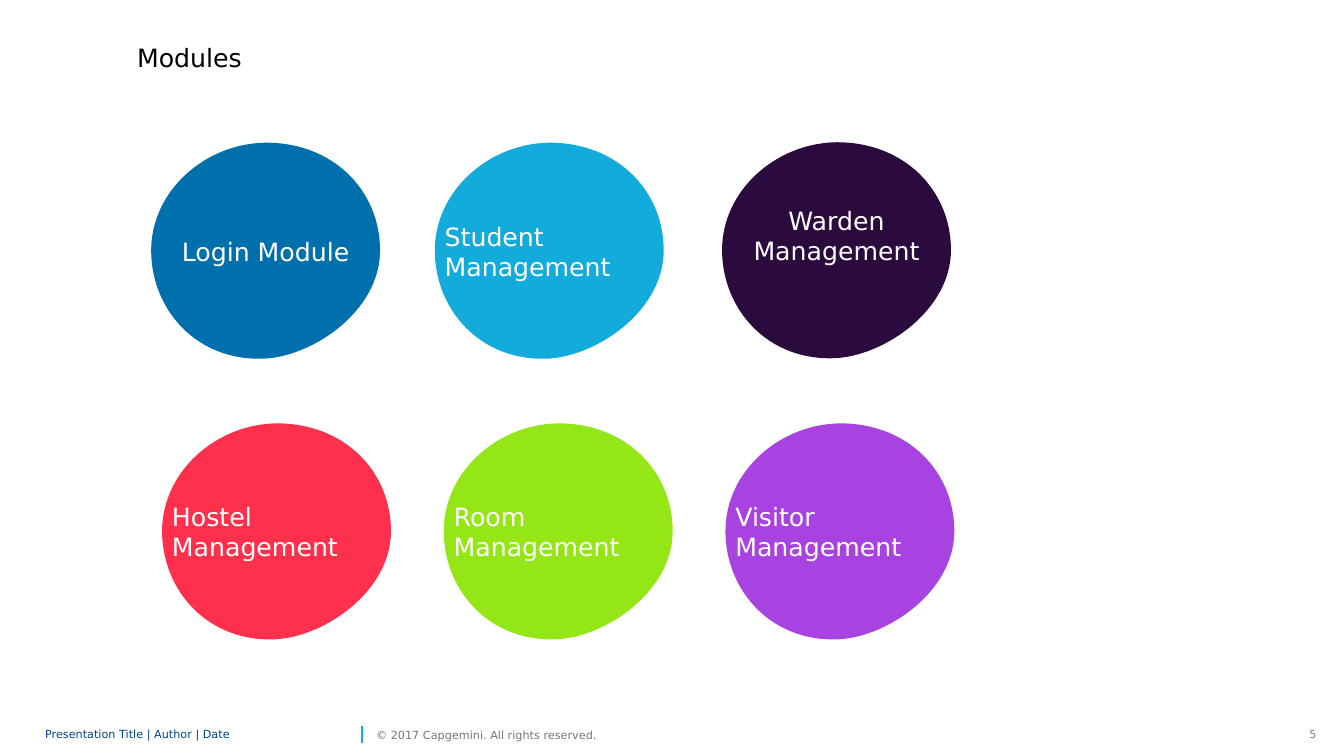
import pptx
import pptx.util
import pptx.dml.color
import pptx.enum.shapes
import pptx.enum.text
import pptx.oxml.ns
import pptx.oxml.xmlchemy

Pt = pptx.util.Pt
Align = pptx.enum.text.PP_ALIGN
Anchor = pptx.enum.text.MSO_ANCHOR
FONT = "DejaVu Sans"

BLOB_SIZE = (163.5, 154.8)
BLOB_START = (0, 77)
BLOB_CURVES = [
    (0, 34.5), (38.5, 0.5), (82, 0),
    (130.5, 0), (163.5, 34.5), (163.5, 77),
    (163.5, 119.5), (117, 151.8), (82, 154.2),
    (33, 157), (0, 119.5), (0, 77),
]
MODULES = [
    ("Login Module", "0070AD", 108, 101.9, {"alignment": Align.CENTER}, {}),
    ("Student Management", "12ABDB", 310.6, 101.9, {}, {}),
    ("Warden Management", "2B0A3D", 515.8, 101.6,
     {"alignment": Align.CENTER}, {"margin_bottom": Pt(25)}),
]
LOWER_MODULES = [("Hostel Management", "FF304C"), ("Room Management", "95E616"),
                 ("Visitor Management", "A842E0")]
LOWER_LEFT, LOWER_TOP, LOWER_PITCH = 115.8, 302.4, 201.2
MODULES += [
    (name, colour, LOWER_LEFT + index * LOWER_PITCH, LOWER_TOP, {}, {})
    for index, (name, colour) in enumerate(LOWER_MODULES)
]


def rgb(code):
    return pptx.dml.color.RGBColor.from_string(code)


def apply(target, values):
    for name, value in values.items():
        setattr(target, name, value)


def write(box, text, size, colour, para_format, frame_format):
    frame = box.text_frame
    apply(frame, {"word_wrap": True, **frame_format})
    para = frame.paragraphs[0]
    apply(para, {"alignment": Align.LEFT, **para_format})
    span = para.add_run()
    span.text = text
    apply(span.font, {"name": FONT, "size": Pt(size)})
    span.font.color.rgb = rgb(colour)


def place_title(page, left, top, width, height):
    box = page.shapes.title
    apply(box, {"left": Pt(left), "top": Pt(top), "width": Pt(width), "height": Pt(height)})
    write(box, "Modules", 18, "000000", {},
          {"vertical_anchor": Anchor.TOP, "auto_size": pptx.enum.text.MSO_AUTO_SIZE.NONE})


def curve_segments(blob):
    geometry = blob.element.spPr.find(pptx.oxml.ns.qn("a:custGeom"))
    outline = geometry.find(".//" + pptx.oxml.ns.qn("a:path"))
    lines = outline.findall(pptx.oxml.ns.qn("a:lnTo"))
    for index in range(0, len(lines), 3):
        curve = pptx.oxml.xmlchemy.OxmlElement("a:cubicBezTo")
        lines[index].addprevious(curve)
        for line in lines[index:index + 3]:
            curve.append(line[0])
            outline.remove(line)
    outline.set("h", str(Pt(BLOB_SIZE[1])))
    blob.height = Pt(BLOB_SIZE[1])


def place_module(page, name, colour, left, top, para_format, frame_format):
    def spot(point):
        return Pt(left + point[0]), Pt(top + point[1])

    builder = page.shapes.build_freeform(*spot(BLOB_START))
    builder.add_line_segments([spot(point) for point in BLOB_CURVES], close=True)
    blob = builder.convert_to_shape()
    curve_segments(blob)
    blob.shadow.inherit = False
    blob.fill.solid()
    blob.fill.fore_color.rgb = rgb(colour)
    blob.line.fill.background()
    write(blob, name, 18, "FFFFFF", para_format,
          {"vertical_anchor": Anchor.MIDDLE, **frame_format})


def place_footer(page, left, top, width, height):
    flush = {"vertical_anchor": Anchor.MIDDLE, "margin_left": 0, "margin_right": 0,
             "margin_top": 0, "margin_bottom": 0}
    number_width = 19.4
    parts = [
        ("Presentation Title | Author | Date", "00458D", 0, 222.5, {"line_spacing": 0.85}, flush),
        ("© 2017 Capgemini. All rights reserved.", "767676", 236.4, 175, {},
         {**flush, "word_wrap": False}),
        ("5", "808080", width - number_width, number_width, {"alignment": Align.RIGHT},
         {"word_wrap": False}),
    ]
    for text, colour, offset, part_width, para_format, frame_format in parts:
        box = page.shapes.add_textbox(Pt(left + offset), Pt(top), Pt(part_width), Pt(height))
        write(box, text, 8, colour, para_format, frame_format)
    divider_left = Pt(left + 226.3)
    divider = page.shapes.add_connector(
        pptx.enum.shapes.MSO_CONNECTOR.STRAIGHT,
        divider_left, Pt(top + 2.2), divider_left, Pt(top + 14.4))
    divider.line.color.rgb = rgb("12ABDB")
    divider.line.width = Pt(1)
    divider.element.spPr.append(pptx.oxml.xmlchemy.OxmlElement("a:effectLst"))


def main():
    deck = pptx.Presentation()
    apply(deck, {"slide_width": Pt(960), "slide_height": Pt(540)})
    page = deck.slides.add_slide(deck.slide_layouts.get_by_name("Title Only"))
    place_title(page, 90.7, 26.6, 451.4, 28.8)
    for module in MODULES:
        place_module(page, *module)
    place_footer(page, 32.2, 516.2, 915.3, 17.3)
    deck.save("out.pptx")


if __name__ == "__main__":
    main()
